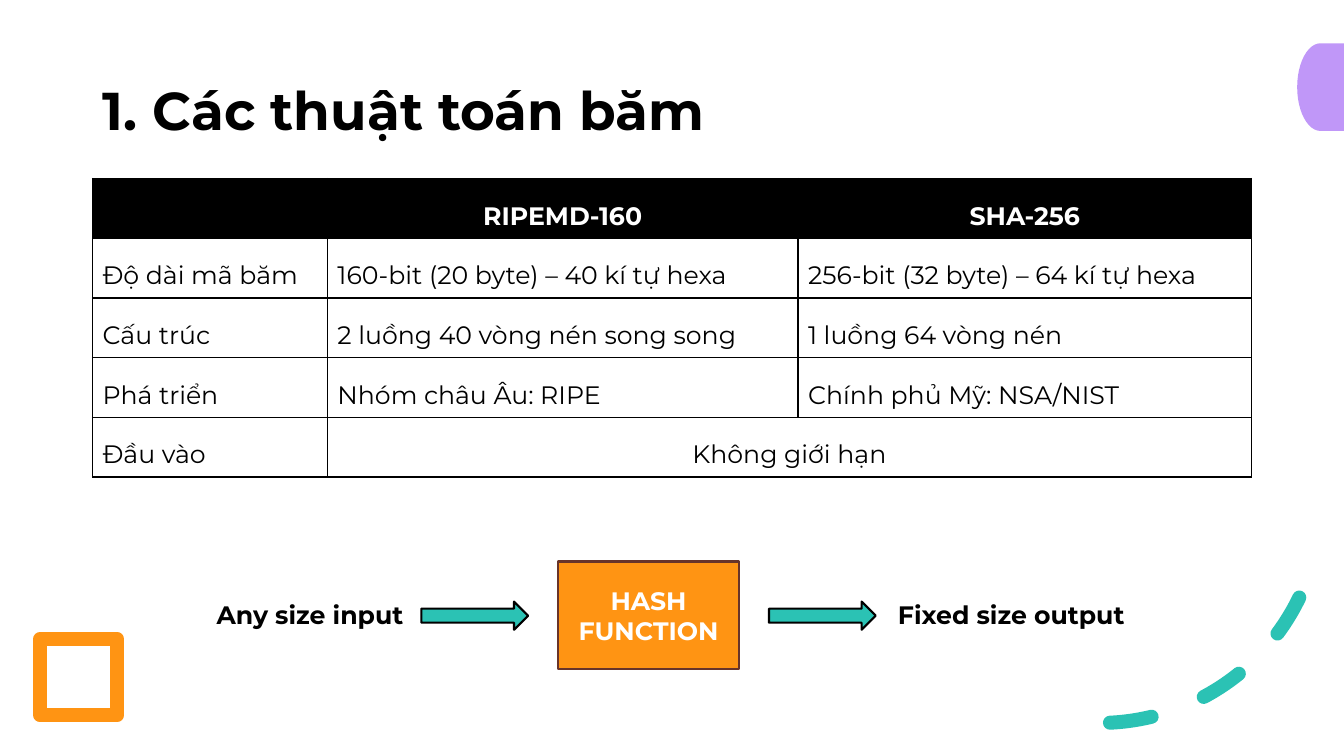
from lxml import etree
from pptx import Presentation
from pptx.dml.color import RGBColor
from pptx.enum.dml import MSO_LINE
from pptx.enum.shapes import MSO_SHAPE
from pptx.enum.text import MSO_ANCHOR, PP_ALIGN
from pptx.oxml.ns import qn
from pptx.util import Cm, Pt

BLACK = RGBColor(0x00, 0x00, 0x00)
WHITE = RGBColor(0xFF, 0xFF, 0xFF)
ORANGE = RGBColor(0xFF, 0x94, 0x13)
BROWN = RGBColor(0x68, 0x34, 0x2A)
TEAL = RGBColor(0x2B, 0xC2, 0xB4)
PURPLE = RGBColor(0xC0, 0x97, 0xF8)
LEFT, CENTER = PP_ALIGN.LEFT, PP_ALIGN.CENTER
MIDDLE = MSO_ANCHOR.MIDDLE
FONT = "Montserrat"


def style_text(paragraph, size, color, bold, align=LEFT):
    paragraph.alignment = align
    for run in paragraph.runs:
        run.font.name = FONT
        run.font.size = Pt(size)
        run.font.bold = bold
        run.font.color.rgb = color


def add_outlined(kind, left, top, width, height, fill, line, weight):
    shape = slide.shapes.add_shape(kind, Cm(left), Cm(top), Cm(width), Cm(height))
    shape.shadow.inherit = False
    if fill is None:
        shape.fill.background()
    else:
        shape.fill.solid()
        shape.fill.fore_color.rgb = fill
    shape.line.color.rgb = line
    shape.line.width = Pt(weight)
    return shape


prs = Presentation()
prs.slide_width, prs.slide_height = Cm(33.87), Cm(19.05)
slide = prs.slides.add_slide(prs.slide_layouts[5])

# Corner decorations
square = add_outlined(MSO_SHAPE.RECTANGLE, 1.02, 16.1, 1.93, 1.93, None, ORANGE, 10)
etree.SubElement(square.line._get_or_add_ln(), qn("a:round"))

dashes = add_outlined(MSO_SHAPE.ARC, 22.12, 7.04, 11.18, 11.18, None, TEAL, 10)
dashes.adjustments[0] = 162
dashes.adjustments[1] = 200.931
dashes.rotation = 357.3
dashes._element.spPr.xfrm.set("flipV", "1")
dashes.line.dash_style = MSO_LINE.DASH
dashes_line = dashes.line._get_or_add_ln()
dashes_line.set("cap", "rnd")
etree.SubElement(dashes_line, qn("a:round"))

# Half disc cut off by the right edge
half_disc = add_outlined(MSO_SHAPE.FLOWCHART_DELAY, 32.69, 1.09, 1.18, 2.21, PURPLE, PURPLE, 1)
half_disc.rotation = 180
half_disc.line.fill.background()

# Title
title = slide.shapes.title
title.left, title.top, title.width, title.height = Cm(2.33), Cm(1.02), Cm(29.21), Cm(3.68)
title.text_frame.text = "1. Các thuật toán băm"
title.text_frame.vertical_anchor = MIDDLE
title.text_frame.paragraphs[0].line_spacing = 0.9
style_text(title.text_frame.paragraphs[0], 38, BLACK, True)

# Comparison of the two algorithms
comparison = [
    ["", "RIPEMD-160", "SHA-256"],
    ["Độ dài mã băm", "160-bit (20 byte) – 40 kí tự hexa", "256-bit (32 byte) – 64 kí tự hexa"],
    ["Cấu trúc", "2 luồng 40 vòng nén song song", "1 luồng 64 vòng nén"],
    ["Phá triển", "Nhóm châu Âu: RIPE", "Chính phủ Mỹ: NSA/NIST"],
    ["Đầu vào", "Không giới hạn", ""],
]
table = slide.shapes.add_table(5, 3, Cm(2.33), Cm(4.5), Cm(29.21), Cm(7.52)).table
for column, width in zip(table.columns, (5.92, 11.86, 11.43)):
    column.width = Cm(width)
for r, row in enumerate(comparison):
    table.rows[r].height = Cm(7.52 / 5)
    for c, text in enumerate(row):
        cell = table.cell(r, c)
        header = r == 0
        cell.text_frame.text = text
        cell.vertical_anchor = MIDDLE
        paragraph = cell.text_frame.paragraphs[0]
        paragraph.line_spacing = 1.5
        centered = header or (r == 4 and c == 1)
        style_text(paragraph, 18, WHITE if header else BLACK, header, CENTER if centered else LEFT)
        # Borders come before the fill in the cell properties
        for side in ("a:lnL", "a:lnR", "a:lnT", "a:lnB"):
            border = etree.SubElement(cell._tc.get_or_add_tcPr(), qn(side), w=str(Pt(1)))
            border_fill = etree.SubElement(border, qn("a:solidFill"))
            etree.SubElement(border_fill, qn("a:srgbClr"), val=str(BLACK))
        cell.fill.solid()
        cell.fill.fore_color.rgb = BLACK if header else WHITE
table.cell(4, 1).merge(table.cell(4, 2))

# Hash function diagram
hash_box = add_outlined(MSO_SHAPE.RECTANGLE, 14.07, 14.15, 4.55, 2.72, ORANGE, BROWN, 1.5)
hash_box.text_frame.text = "HASH FUNCTION"
hash_box.text_frame.word_wrap = True
hash_box.text_frame.vertical_anchor = MIDDLE
style_text(hash_box.text_frame.paragraphs[0], 18, WHITE, True, CENTER)

for text, left, width in (("Any size input", 5.21, 5.46), ("Fixed size output", 22.38, 6.48)):
    label = slide.shapes.add_textbox(Cm(left), Cm(14.99), Cm(width), Cm(1.02))
    label.text_frame.text = text
    label.text_frame.word_wrap = True
    style_text(label.text_frame.paragraphs[0], 18, BLACK, True)

for left in (10.62, 19.38):
    add_outlined(MSO_SHAPE.RIGHT_ARROW, left, 15.16, 2.69, 0.71, TEAL, BLACK, 1.5)

prs.save("out.pptx")
